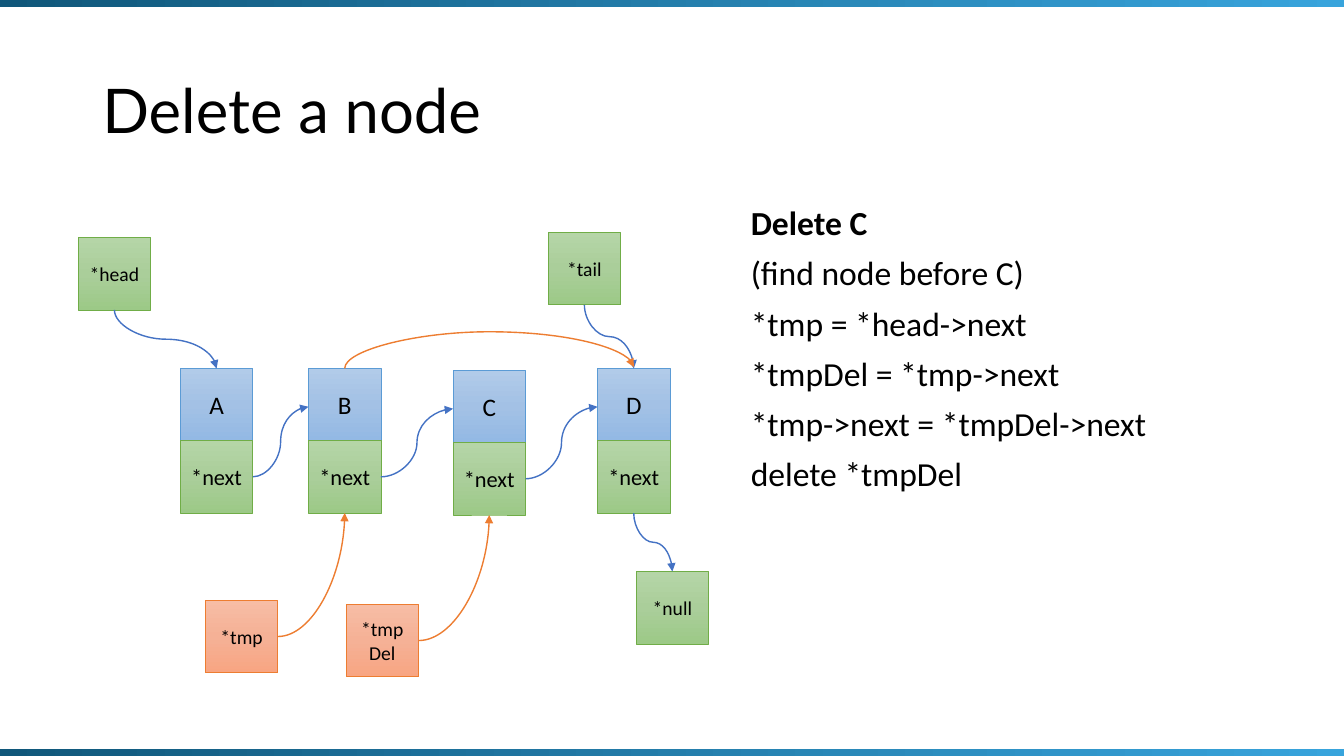
from copy import deepcopy

from lxml import etree
from pptx import Presentation
from pptx.dml.color import RGBColor
from pptx.enum.shapes import MSO_CONNECTOR, MSO_SHAPE
from pptx.enum.text import MSO_ANCHOR, PP_ALIGN
from pptx.oxml.ns import qn
from pptx.util import Pt

CURVE = MSO_CONNECTOR.CURVE
RECT = MSO_SHAPE.RECTANGLE
MIDDLE, TOP = MSO_ANCHOR.MIDDLE, MSO_ANCHOR.TOP
CENTER = PP_ALIGN.CENTER
color = RGBColor.from_string

BLACK, BLUE, ORANGE = "000000", "4472C4", "ED7D31"
# Each style: gradient colours, then outline colour
DATA = (["B1CBE9", "A3C1E5", "93B9E4"], "5B9BD5")
LINK = (["B5D5A7", "AACE9A", "9CC987"], "70AD47")
TEMP = (["F7BDA5", "F5B196", "F8A582"], ORANGE)
BAR = (["10577A", "38A4DC"], None)
SIDE = 51.8
HALF = SIDE / 2

deck = Presentation()
deck.slide_width, deck.slide_height = Pt(960), Pt(540)
slide = deck.slides.add_slide(deck.slide_layouts[6])
shapes = slide.shapes


def box(x, y, style, text="", size=14, wide=SIDE, high=SIDE, angle=270):
    """Add a gradient rectangle with an optional centred label."""
    tints, edge = style
    shape = shapes.add_shape(RECT, Pt(x), Pt(y), Pt(wide), Pt(high))
    shape.shadow.inherit = False
    shape.fill.gradient()
    shape.fill.gradient_angle = angle
    stops = shape._element.spPr.find(".//" + qn("a:gsLst"))
    while len(stops) < len(tints):
        stops.append(deepcopy(stops[-1]))
    for i, stop in enumerate(shape.fill.gradient_stops):
        stop.color.rgb = color(tints[i])
        stop.position = i / (len(tints) - 1)
    if edge:
        shape.line.color.rgb = color(edge)
        shape.line.width = Pt(0.5)
    else:
        shape.line.fill.background()
    if text:
        frame = shape.text_frame
        frame.word_wrap = True
        frame.vertical_anchor = MIDDLE
        para = frame.paragraphs[0]
        para.alignment = CENTER
        run = para.add_run()
        run.text = text
        run.font.name, run.font.size = "Calibri", Pt(size)
        run.font.color.rgb = color(BLACK)


def curve(start, end, tint=BLUE, kind="curvedConnector3", turn=0, bend=None):
    """Add a curved arrow; turn 270 leaves downwards, 90 leaves upwards."""
    (x1, y1), (x2, y2) = start, end
    if turn:
        sign = 1 if turn == 270 else -1
        mid_x, mid_y = (x1 + x2) / 2, (y1 + y2) / 2
        off_x, off_y = sign * (y2 - y1) / 2, sign * (x2 - x1) / 2
        x1, y1, x2, y2 = mid_x + off_x, mid_y - off_y, mid_x - off_x, mid_y + off_y
    line = shapes.add_connector(CURVE, Pt(x1), Pt(y1), Pt(x2), Pt(y2))
    line.line.color.rgb = color(tint)
    line.line.width = Pt(1)
    props = line._element.spPr
    if turn:
        props.find(qn("a:xfrm")).set("rot", str(turn * 60000))
    shape = props.find(qn("a:prstGeom"))
    shape.set("prst", kind)
    if bend:
        guide = etree.SubElement(shape.find(qn("a:avLst")), qn("a:gd"))
        guide.set("name", "adj1")
        guide.set("fmla", f"val {round(bend * 100000)}")
    etree.SubElement(props.find(qn("a:ln")), qn("a:tailEnd")).set("type", "triangle")
    etree.SubElement(props, qn("a:effectLst"))


# Title and steps
steps = ["Delete C", "(find node before C)", "*tmp = *head->next",
         "*tmpDel = *tmp->next", "*tmp->next = *tmpDel->next", "delete *tmpDel"]
for place, anchor, lines, face, size, gap in [
    ((66, 28.8, 828, 104.4), MIDDLE, ["Delete a node"], "Lato", 44, 0),
    ((529.2, 144, 364.3, 342.7), TOP, steps, "Calibri", 24, 10),
]:
    frame = shapes.add_textbox(*map(Pt, place)).text_frame
    frame.word_wrap = True
    frame.vertical_anchor = anchor
    for i, text in enumerate(lines):
        para = frame.add_paragraph() if i else frame.paragraphs[0]
        para.line_spacing, para.space_before = 0.9, Pt(gap)
        run = para.add_run()
        run.text = text
        run.font.name, run.font.size = face, Pt(size)
        run.font.bold = text == "Delete C"
        run.font.color.rgb = color(BLACK)

# Bars along the top and bottom edges
for y in (-0.5, 535):
    box(0, y, BAR, wide=960, high=5.5, angle=0)

# List nodes
nodes = {"A": (128.8, 263.2), "B": (220.3, 263.2),
         "C": (323.6, 264.6), "D": (426.8, 263.2)}
for name, (x, y) in nodes.items():
    box(x, y, DATA, name, 18)
    box(x, y + 51.5, LINK, "*next", 16)
tops = {name: (x + HALF, y) for name, (x, y) in nodes.items()}
feet = {name: (x, y + 51.5 + SIDE) for name, (x, y) in tops.items()}

# Pointers
head, tail, null = (55.8, 169.6), (391.5, 165.9), (454.4, 408.2)
tmp, doomed = (146.7, 428.8), (247.2, 431.7)
for (x, y), style, text in [
    (head, LINK, "*head"), (tail, LINK, "*tail"), (null, LINK, "*null"),
    (tmp, TEMP, "*tmp"), (doomed, TEMP, "*tmpDel"),
]:
    box(x, y, style, text)

# Arrows
for left, right in zip("ABC", "BCD"):
    (x1, y1), (x2, y2) = nodes[left], nodes[right]
    curve((x1 + SIDE, y1 + 51.5 + HALF), (x2, y2 + HALF + 1.5))
for (x, y), name in [(head, "A"), (tail, "D")]:
    curve((x + HALF, y + SIDE), tops[name], turn=270)
curve(feet["D"], (null[0] + HALF, null[1]), turn=270)
for (x, y), name in [(tmp, "B"), (doomed, "C")]:
    curve((x + SIDE, y + HALF), feet[name], ORANGE, "curvedConnector2")
x, y = tops["D"]
curve(tops["B"], (x, y - 1), ORANGE, turn=90, bend=26.4)

deck.save("out.pptx")
